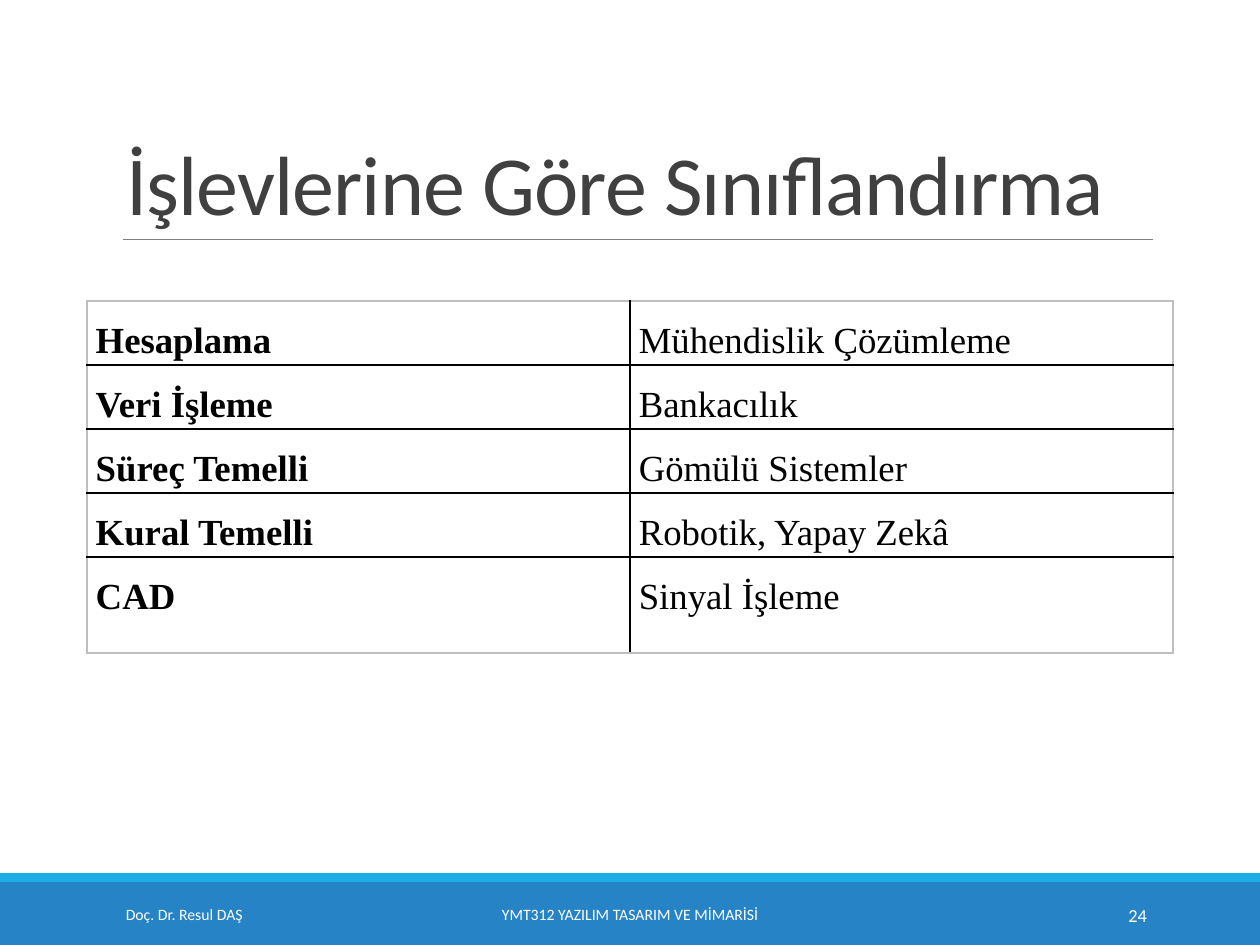
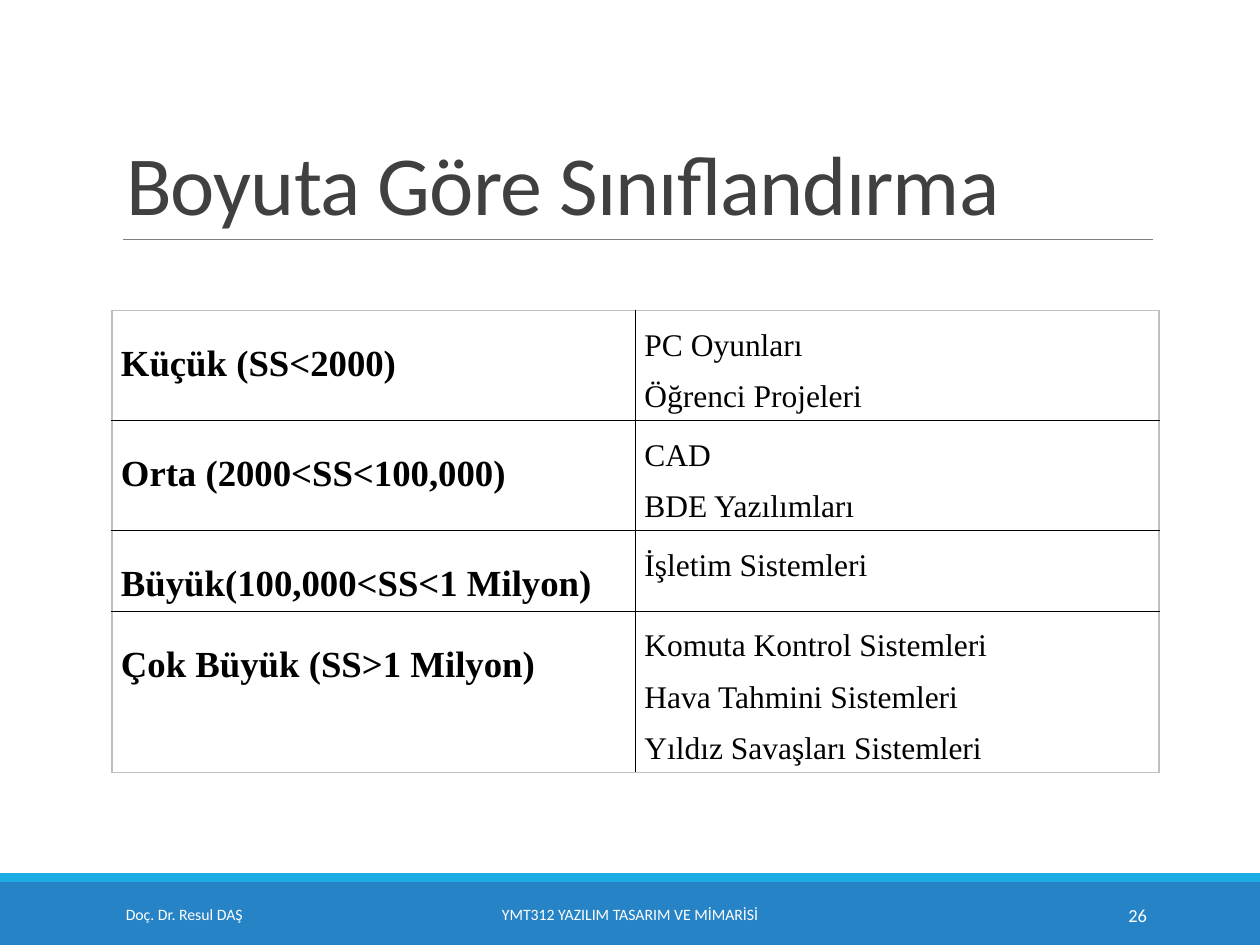
from pptx import Presentation
from pptx import util as u
from pptx.dml.color import RGBColor
from pptx.enum import shapes, text
from pptx.oxml import parse_xml
from pptx.oxml.ns import nsdecls, qn

# Grid: 100 columns by 75 rows
UNIT = u.Inches(0.1)
COLUMNS, ROWS = 100, 75

WHITE = RGBColor(0xFF, 0xFF, 0xFF)
BLACK = RGBColor(0, 0, 0)
TITLE_GREY = RGBColor(0x40, 0x40, 0x40)
RULE_GREY = RGBColor(0x80, 0x80, 0x80)
EDGE_GREY = RGBColor(0xBF, 0xBF, 0xBF)
BAND_BLUE = RGBColor(0x26, 0x83, 0xC6)
STRIPE_BLUE = RGBColor(0x1C, 0xAD, 0xE4)

TITLE_BOX = (9, 3.1, 82.5, 15.9)
BAND_BOX = (0, 70, COLUMNS, 5)
AUTHOR = "Doç. Dr. Resul DAŞ"
COURSE = "YMT312 YAZILIM TASARIM VE MİMARİSİ"

SLIDES = [
    {
        "title": "İşlevlerine Göre Sınıflandırma",
        "number": "24",
        "box": (6.9, 23.9, 86.2),
        "heights": [5.08, 5.08, 5.08, 5.08, 7.6],
        "sizes": (21, 21),
        "tops": (1.3, 1.3),
        "bottom": 0,
        "rows": [
            ("Hesaplama", "Mühendislik Çözümleme"),
            ("Veri İşleme", "Bankacılık"),
            ("Süreç Temelli", "Gömülü Sistemler"),
            ("Kural Temelli", "Robotik, Yapay Zekâ"),
            ("CAD", "Sinyal İşleme"),
        ],
    },
    {
        "title": "Boyuta Göre Sınıflandırma",
        "number": "26",
        "box": (8.9, 24.65, 83.1),
        "heights": [8.74, 8.74, 6.4, 12.8],
        "sizes": (21, 18),
        "tops": (2.4, 1.2),
        "bottom": 0.3,
        "rows": [
            ("Küçük (SS<2000)", "PC Oyunları\nÖğrenci Projeleri"),
            ("Orta (2000<SS<100,000)", "CAD\nBDE Yazılımları"),
            ("Büyük(100,000<SS<1 Milyon)", "İşletim Sistemleri"),
            ("Çok Büyük (SS>1 Milyon)",
             "Komuta Kontrol Sistemleri\nHava Tahmini Sistemleri\n"
             "Yıldız Savaşları Sistemleri"),
        ],
    },
]


def grid(*lengths):
    return [round(length * UNIT) for length in lengths]


def apply(target, values):
    for name, value in values.items():
        setattr(target, name, value)


def style_font(font, size, color, name="Calibri", bold=False):
    apply(font, {"size": u.Pt(size), "name": name, "bold": bold})
    font.color.rgb = color


def add_bar(page, box, color):
    bar = page.shapes.add_shape(shapes.MSO_SHAPE.RECTANGLE, *grid(*box))
    bar.shadow.inherit = False
    bar.fill.solid()
    bar.fill.fore_color.rgb = color
    bar.line.fill.background()


def add_title(page, box, words):
    left, top, width, height = box
    # Title text
    title = page.shapes.title
    apply(title, dict(zip(("left", "top", "width", "height"), grid(*box))))
    frame = title.text_frame
    apply(frame, {"text": words, "word_wrap": True,
                  "auto_size": text.MSO_AUTO_SIZE.NONE,
                  "vertical_anchor": text.MSO_ANCHOR.BOTTOM})
    para = frame.paragraphs[0]
    apply(para, {"alignment": text.PP_ALIGN.LEFT, "line_spacing": 0.85})
    span = para.runs[0]
    style_font(span.font, 48, TITLE_GREY)
    span.font._element.set("spc", "-50")
    # Rule under the title
    base = top + height
    rule = page.shapes.add_connector(
        shapes.MSO_CONNECTOR.STRAIGHT,
        *grid(left + 0.8, base, left + width, base))
    rule.line.color.rgb = RULE_GREY
    rule.line.width = u.Pt(0.5)
    rule._element.spPr.append(parse_xml(f"<a:effectLst {nsdecls('a')}/>"))


def add_footer(page, box, number):
    left, top, width, height = box
    # Band with a thin stripe above it
    add_bar(page, box, BAND_BLUE)
    add_bar(page, (left, top - 0.7, width, 0.7), STRIPE_BLUE)
    # Author, course and page number
    entries = [
        (AUTHOR, 9, 20.3, 9, text.PP_ALIGN.LEFT),
        (COURSE, 30.2, 39.6, 9, text.PP_ALIGN.CENTER),
        (number, 81.2, 10.8, 10.5, text.PP_ALIGN.RIGHT),
    ]
    for words, column, span, size, alignment in entries:
        label = page.shapes.add_textbox(
            *grid(left + column, top + 0.6, span, height - 1))
        frame = label.text_frame
        apply(frame, {"text": words, "word_wrap": True,
                      "vertical_anchor": text.MSO_ANCHOR.MIDDLE})
        para = frame.paragraphs[0]
        para.alignment = alignment
        style_font(para.runs[0].font, size, WHITE)


def set_borders(cell, edges):
    properties = cell._tc.get_or_add_tcPr()
    for side, outer in edges.items():
        color = EDGE_GREY if outer else BLACK
        properties.append(parse_xml(
            f'<a:ln{side} {nsdecls("a")} w="12700"><a:solidFill>'
            f'<a:srgbClr val="{color}"/></a:solidFill></a:ln{side}>'))


def add_class_table(page, content):
    left, top, width = content["box"]
    rows, heights = content["rows"], content["heights"]
    frame = page.shapes.add_table(
        len(rows), 2, *grid(left, top, width, sum(heights)))
    table = frame.table
    apply(table, {"first_row": False, "horz_banding": False})
    for column in table.columns:
        column.width = round(width * UNIT / 2)
    for r, (row, height) in enumerate(zip(table.rows, heights)):
        row.height = round(height * UNIT)
        for c, cell in enumerate(row.cells):
            set_borders(cell, {"L": c == 0, "R": c == 1,
                               "T": r == 0, "B": r == len(rows) - 1})
            cell.fill.background()
            margins = grid(0.7, content["tops"][c], 0.7, content["bottom"])
            names = ("margin_left", "margin_top",
                     "margin_right", "margin_bottom")
            apply(cell, dict(zip(names, margins)))
            cell.text_frame.text = rows[r][c]
            for para in cell.text_frame.paragraphs:
                apply(para, {"line_spacing": 1.07, "space_after": u.Pt(8)})
                style_font(para.runs[0].font, content["sizes"][c], BLACK,
                           "Times New Roman", bold=c == 0)


def add_class_slide(deck, content):
    page = deck.slides.add_slide(deck.slide_layouts[5])
    add_title(page, TITLE_BOX, content["title"])
    add_class_table(page, content)
    add_footer(page, BAND_BOX, content["number"])


def main():
    deck = Presentation()
    deck.slide_width, deck.slide_height = grid(COLUMNS, ROWS)
    for content in SLIDES:
        add_class_slide(deck, content)
    deck.save("out.pptx")


if __name__ == "__main__":
    main()
